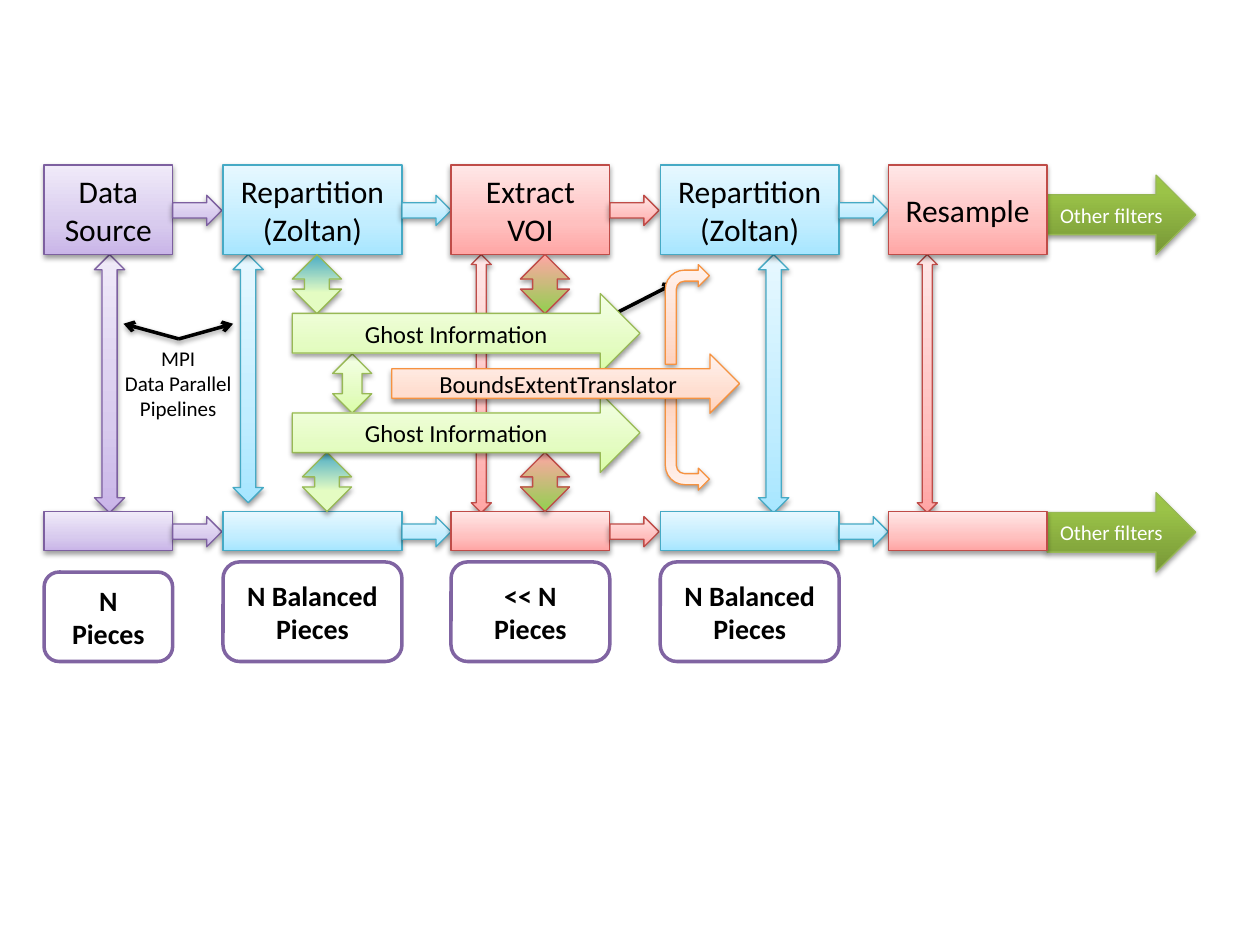
from dataclasses import dataclass
from typing import Any

from lxml import etree
from pptx import Presentation
from pptx import util as u
from pptx.dml import color
from pptx.enum import shapes, text
from pptx.oxml import ns

SHAPE = shapes.MSO_SHAPE
PURPLE = ([(0, "C9B5E8"), (35, "D8CBEE"), (100, "F0EAF9")], 270, "7D60A0")
BLUE = ([(0, "A7E6FF"), (35, "C1EDFF"), (100, "E7F8FF")], 270, "46AAC5")
RED = ([(0, "FFA6A5"), (35, "FFC0BF"), (100, "FFE7E7")], 270, "BF4C48")
GREEN = ([(0, "DAFDA7"), (35, "E4FCC2"), (100, "F5FFE7")], 270, "98B955")
ORANGE = ([(0, "FFD2BD"), (35, "FFDED0"), (100, "FFF2ED")], 270, "F69240")
OLIVE = ([(0, "779737"), (80, "9BC348"), (100, "9DC746")], 270, "98B955")
RED_TO_GREEN = ([(0, "FFA6A5"), (100, "92D050")], 90, "BF4C48")
BLUE_TO_GREEN = ([(35, "E4FCC2"), (100, "4BACC6")], 270, "98B955")


def rgb(code):
    """Turn a hex string into a colour."""
    return color.RGBColor.from_string(code)


def child(parent, tag, **attributes):
    """Append a DrawingML element with the given attributes."""
    return etree.SubElement(parent, ns.qn(tag), {k: str(v) for k, v in attributes.items()})


def write(frame, words, size=18, tint="000000", bold=False, font="Calibri"):
    """Fill a text frame with centred paragraphs, one per line of words."""
    frame.word_wrap = True
    frame.vertical_anchor = text.MSO_ANCHOR.MIDDLE
    for i, line in enumerate(words.split("\n")):
        paragraph = frame.paragraphs[0] if i == 0 else frame.add_paragraph()
        paragraph.alignment = text.PP_ALIGN.CENTER
        run = paragraph.add_run()
        run.text = line
        run.font.name, run.font.size, run.font.bold = font, u.Pt(size), bold
        run.font.color.rgb = rgb(tint)


@dataclass
class Diagram:
    """Draws the elements of the pipeline diagram in one style."""
    slide: Any
    thin: float = 0.75
    thick: float = 2

    def shadow(self, item):
        """Give an item a soft shadow below it."""
        properties = item._element.spPr
        for old in properties.findall(ns.qn("a:effectLst")):
            properties.remove(old)
        outer = child(child(properties, "a:effectLst"), "a:outerShdw", blurRad=u.Pt(3.1),
                      dist=u.Pt(1.6), dir=5400000, rotWithShape=0)
        child(child(outer, "a:srgbClr", val="000000"), "a:alpha", val=38000)

    def outline(self, kind, box, tint, weight):
        """Add a preset shape with a coloured line and no shadow."""
        item = self.slide.shapes.add_shape(kind, *map(u.Inches, box))
        item.shadow.inherit = False
        item.line.color.rgb, item.line.width = rgb(tint), u.Pt(weight)
        return item

    def block(self, kind, box, style, words="", **form):
        """Add a shaded shape with optional text."""
        stops, angle, edge = style
        item = self.outline(kind, box, edge, self.thin)
        item.fill.gradient()
        item.fill.gradient_angle = 360 - angle
        ramp = item._element.spPr.find(".//" + ns.qn("a:gsLst"))
        for old in list(ramp):
            ramp.remove(old)
        for place, tint in stops:
            child(child(ramp, "a:gs", pos=place * 1000), "a:srgbClr", val=tint)
        self.shadow(item)
        if words:
            write(item.text_frame, words, **form)
        return item

    def badge(self, box, words):
        """Add a white rounded box with bold text."""
        item = self.outline(SHAPE.ROUNDED_RECTANGLE, box, "8064A2", self.thick)
        item.fill.solid()
        item.fill.fore_color.rgb = rgb("FFFFFF")
        write(item.text_frame, words, size=16, bold=True)

    def pointer(self, start, end):
        """Add a black line with an open arrowhead at its end."""
        item = self.slide.shapes.add_connector(
            shapes.MSO_CONNECTOR.STRAIGHT, *map(u.Inches, start + end))
        item.line.color.rgb, item.line.width = rgb("000000"), u.Pt(self.thick)
        child(item.line._get_or_add_ln(), "a:tailEnd", type="arrow")
        self.shadow(item)

    def label(self, box, words, **form):
        """Add free text without side margins."""
        frame = self.slide.shapes.add_textbox(*map(u.Inches, box)).text_frame
        frame.margin_left = frame.margin_right = 0
        write(frame, words, **form)
        frame.vertical_anchor = text.MSO_ANCHOR.TOP


deck = Presentation()
deck.slide_width, deck.slide_height = u.Inches(10), u.Inches(7.5)
diagram = Diagram(deck.slides.add_slide(deck.slide_layouts[6]))

for left, width, height, style in [(0.75, 0.24, 2.05, PURPLE), (1.85, 0.24, 1.97, BLUE),
                                   (3.74, 0.16, 2.05, RED), (6.02, 0.24, 2.05, BLUE),
                                   (7.28, 0.16, 2.05, RED)]:
    diagram.block(SHAPE.UP_DOWN_ARROW, (left, 2.02, width, height), style)

for top in (1.39, 3.91):
    diagram.block(SHAPE.RIGHT_ARROW, (8.31, top, 1.18, 0.63), OLIVE, "Other filters",
                  size=12, tint="FFFFFF")

stages = [
    (0.35, 1.02, PURPLE, "Data\nSource", "N Pieces", 0.71),
    (1.77, 1.42, BLUE, "Repartition\n(Zoltan)", "N Balanced Pieces", 0.79),
    (3.58, 1.26, RED, "Extract VOI", "<< N Pieces", 0.79),
    (5.24, 1.42, BLUE, "Repartition\n(Zoltan)", "N Balanced Pieces", 0.79),
    (7.05, 1.26, RED, "Resample", "", 0),
]
for left, width, style, name, pieces, depth in stages:
    diagram.block(SHAPE.RECTANGLE, (left, 1.31, width, 0.71), style, name)
    diagram.block(SHAPE.RECTANGLE, (left, 4.06, width, 0.31), style)
    if pieces:
        diagram.badge((left, 5.25 - depth, width, depth), pieces)
        for top in (1.55, 4.1):
            diagram.block(SHAPE.RIGHT_ARROW, (left + width, top, 0.39, 0.24), style)

for start, end in [((1.42, 2.69), (0.98, 2.57)), ((1.42, 2.69), (1.85, 2.57)),
                   ((4.88, 2.49), (5.35, 2.25))]:
    diagram.pointer(start, end)
diagram.label((0.98, 2.69, 0.87, 0.71), "MPI\nData Parallel Pipelines", size=12)

lower_bend = diagram.block(SHAPE.BENT_ARROW, (5.28, 3.16, 0.35, 0.73), ORANGE)
lower_bend.rotation = 180
lower_bend._element.spPr.find(ns.qn("a:xfrm")).set("flipH", "1")
diagram.block(SHAPE.BENT_ARROW, (5.28, 2.1, 0.35, 0.79), ORANGE)

for left, top, width, style in [(4.13, 2.02, 0.39, RED_TO_GREEN), (2.32, 2.02, 0.39, BLUE_TO_GREEN),
                                (4.13, 3.59, 0.39, RED_TO_GREEN), (2.4, 3.59, 0.39, BLUE_TO_GREEN),
                                (2.64, 2.81, 0.31, GREEN)]:
    diagram.block(SHAPE.UP_DOWN_ARROW, (left, top, width, 0.47), style)

for left, top, height, style, message in [(2.32, 2.33, 0.63, GREEN, "Ghost Information"),
                                          (2.32, 3.12, 0.63, GREEN, "Ghost Information"),
                                          (3.11, 2.81, 0.47, ORANGE, "BoundsExtentTranslator")]:
    diagram.block(SHAPE.RIGHT_ARROW, (left, top, 2.76, height), style, message, size=14)

deck.save("out.pptx")
